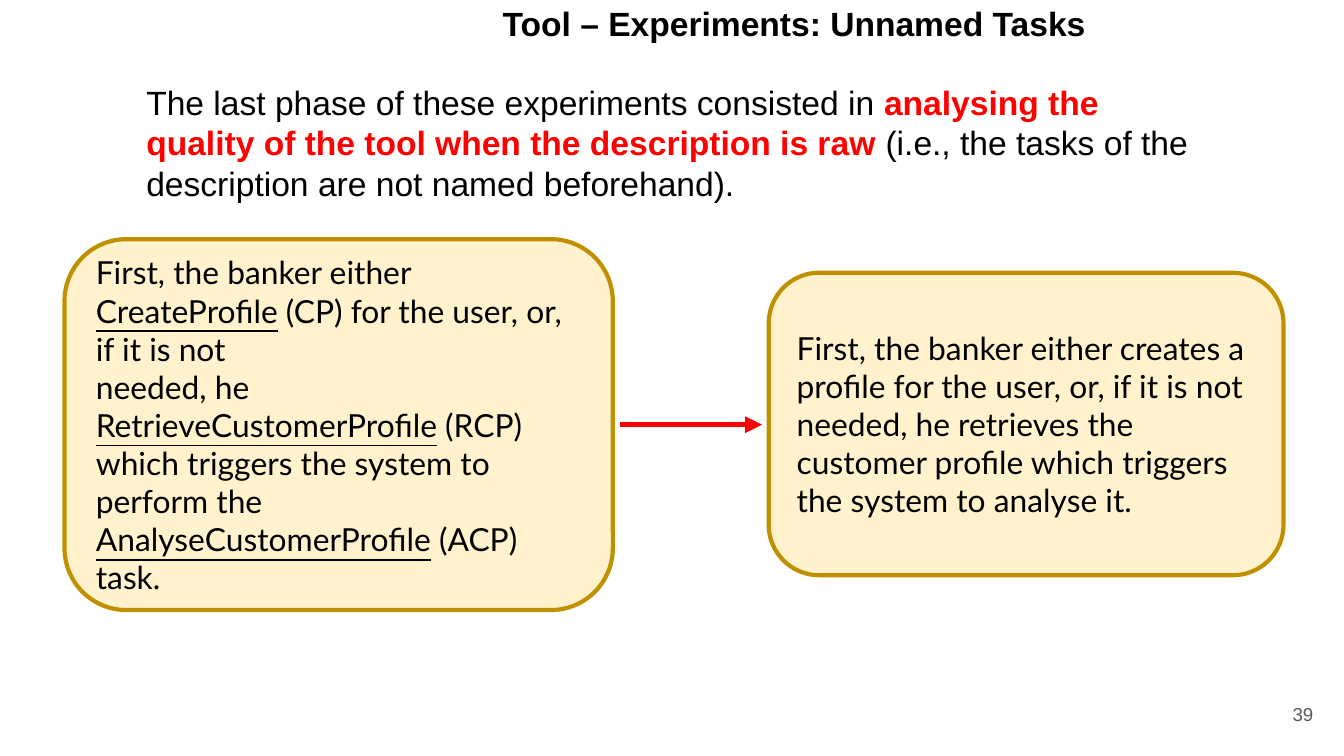
from dataclasses import dataclass, field

from lxml import etree
from pptx import Presentation
from pptx.dml.color import RGBColor
from pptx.enum import shapes, text
from pptx.oxml import ns
from pptx.util import Inches, Pt


@dataclass(frozen=True)
class Theme:
    ink: str = "000000"
    red: str = "FF0000"
    gray: str = "595959"
    cream: str = "FFF2CC"
    gold: str = "BF9000"
    sans: str = "Arial"
    card: str = "Lato"
    head: float = 18
    body: float = 17
    small: float = 10
    edge: float = 2.25
    arrow: float = 3


@dataclass(frozen=True)
class Run:
    words: str
    look: dict = field(default_factory=dict)
    color: str = Theme.ink


@dataclass(frozen=True)
class Card:
    at: tuple[float, float, float, float]
    paras: list[list[Run]]


THEME = Theme()
LEFT, RIGHT = text.PP_ALIGN.LEFT, text.PP_ALIGN.RIGHT
TOP, MID = text.MSO_ANCHOR.TOP, text.MSO_ANCHOR.MIDDLE
BOLD = {"bold": True}
UNDER = {"underline": True}

CARDS = [
    Card((0.48, 1.78, 4.08, 2.76), [
        [Run("First, the banker either "), Run("CreateProfile", UNDER),
         Run(" (CP) for the user, or, if it is not")],
        [Run("needed, he "), Run("RetrieveCustomerProfile", UNDER),
         Run(" (RCP) which triggers the system to perform the "),
         Run("AnalyseCustomerProfile", UNDER), Run(" (ACP) task.")],
    ]),
    Card((5.72, 2.03, 3.83, 2.25), [
        [Run("First, the banker either creates a profile for the user, or, "
             "if it is not needed, he retrieves the customer profile which "
             "triggers the system to analyse it.")],
    ]),
]


def apply(item, look: dict) -> None:
    for name, value in look.items():
        setattr(item, name, value)


def place(shape, at: tuple) -> None:
    apply(shape, dict(zip(("left", "top", "width", "height"), map(Inches, at))))


def write(shape, paras: list[list[Run]], face: str, size: float,
          anchor=TOP, align=LEFT, top: float = 0.1) -> None:
    frame = shape.text_frame
    apply(frame, {
        "word_wrap": True,
        "auto_size": text.MSO_AUTO_SIZE.NONE,
        "vertical_anchor": anchor,
        "margin_left": Inches(0.1),
        "margin_right": Inches(0.1),
        "margin_top": Inches(top),
        "margin_bottom": Inches(0.1),
    })
    for index, runs in enumerate(paras):
        para = frame.add_paragraph() if index else frame.paragraphs[0]
        para.alignment = align
        for item in runs:
            run = para.add_run()
            run.text = item.words
            apply(run.font, {"name": face, "size": Pt(size), **item.look})
            run.font.color.rgb = RGBColor.from_string(item.color)


def add_text(slide, at: tuple, runs: list[Run], size: float, **look) -> None:
    box = slide.shapes.add_textbox(*map(Inches, at))
    write(box, [runs], THEME.sans, size, **look)


def add_card(slide, card: Card) -> None:
    box = slide.shapes.add_shape(
        shapes.MSO_SHAPE.ROUNDED_RECTANGLE, *map(Inches, card.at))
    box.shadow.inherit = False
    box.fill.solid()
    box.fill.fore_color.rgb = RGBColor.from_string(THEME.cream)
    box.line.color.rgb = RGBColor.from_string(THEME.gold)
    box.line.width = Pt(THEME.edge)
    write(box, card.paras, THEME.card, THEME.body, anchor=MID)


def add_arrow(slide, start: tuple, end: tuple) -> None:
    link = slide.shapes.add_connector(
        shapes.MSO_CONNECTOR.STRAIGHT, *map(Inches, start + end))
    link.line.color.rgb = RGBColor.from_string(THEME.red)
    link.line.width = Pt(THEME.arrow)
    props = link.element.spPr
    tip = etree.SubElement(props.find(ns.qn("a:ln")), ns.qn("a:tailEnd"))
    tip.set("type", "triangle")
    etree.SubElement(props, ns.qn("a:effectLst"))


def main() -> None:
    deck = Presentation()
    deck.slide_width = Inches(10)
    deck.slide_height = deck.slide_width * 9 // 16
    slide = deck.slides.add_slide(deck.slide_layouts[5])

    title = slide.shapes.title
    place(title, (3.64, 0, 5.96, 0.36))
    write(title, [[Run("Tool – Experiments: Unnamed Tasks", BOLD)]],
          THEME.sans, THEME.head, top=0.02)

    add_text(slide, (9.27, 5.1, 0.6, 0.43), [Run("39", color=THEME.gray)],
             THEME.small, anchor=MID, align=RIGHT)
    add_text(slide, (0.99, 0.51, 8.15, 1.27), [
        Run("The last phase of these experiments consisted in "),
        Run("analysing the quality of the tool when the description is raw",
            BOLD, THEME.red),
        Run(" (i.e., the tasks of the description are not named beforehand)."),
    ], THEME.head)

    for card in CARDS:
        add_card(slide, card)
    add_arrow(slide, (4.61, 3.16), (5.67, 3.16))
    deck.save("out.pptx")


if __name__ == "__main__":
    main()
